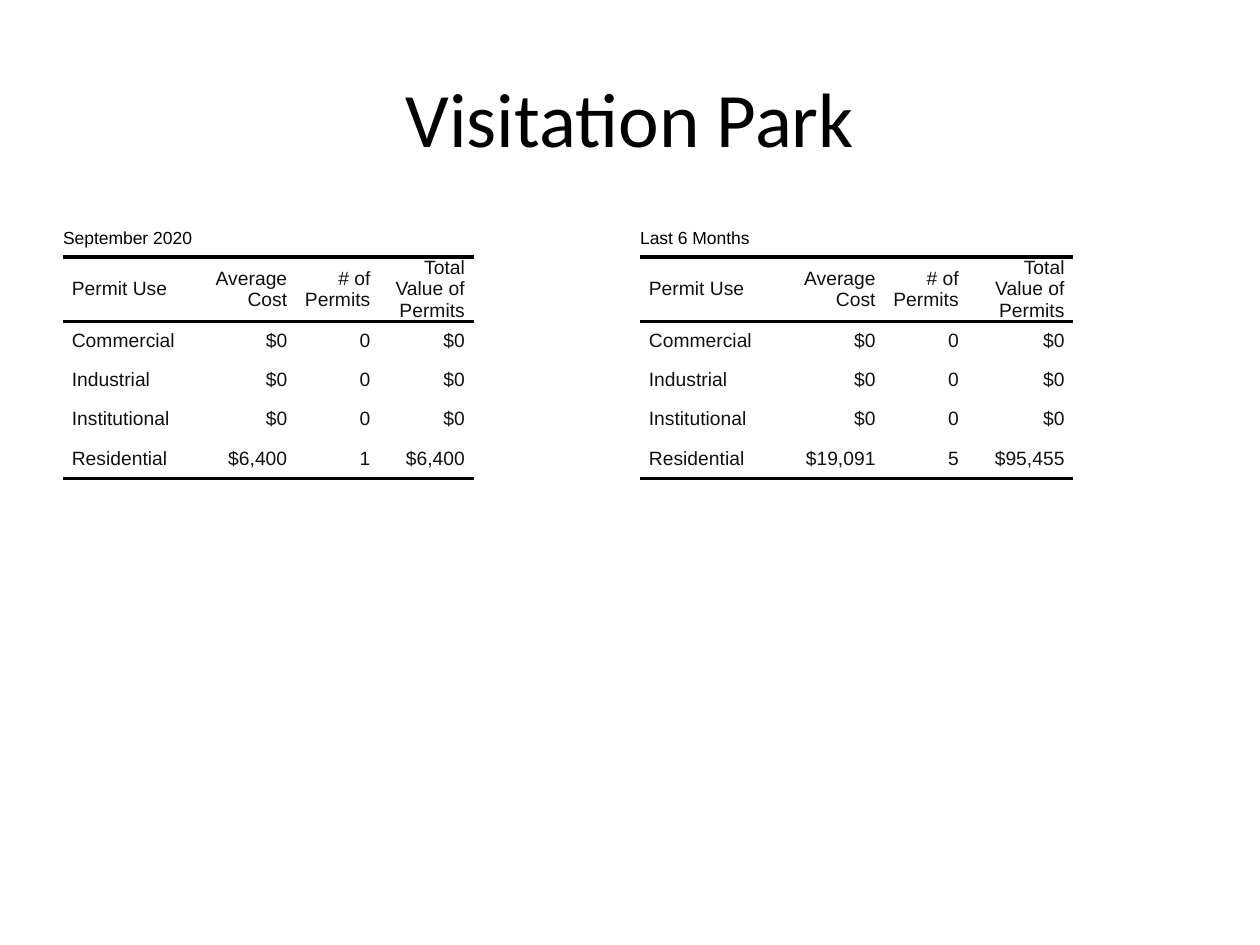
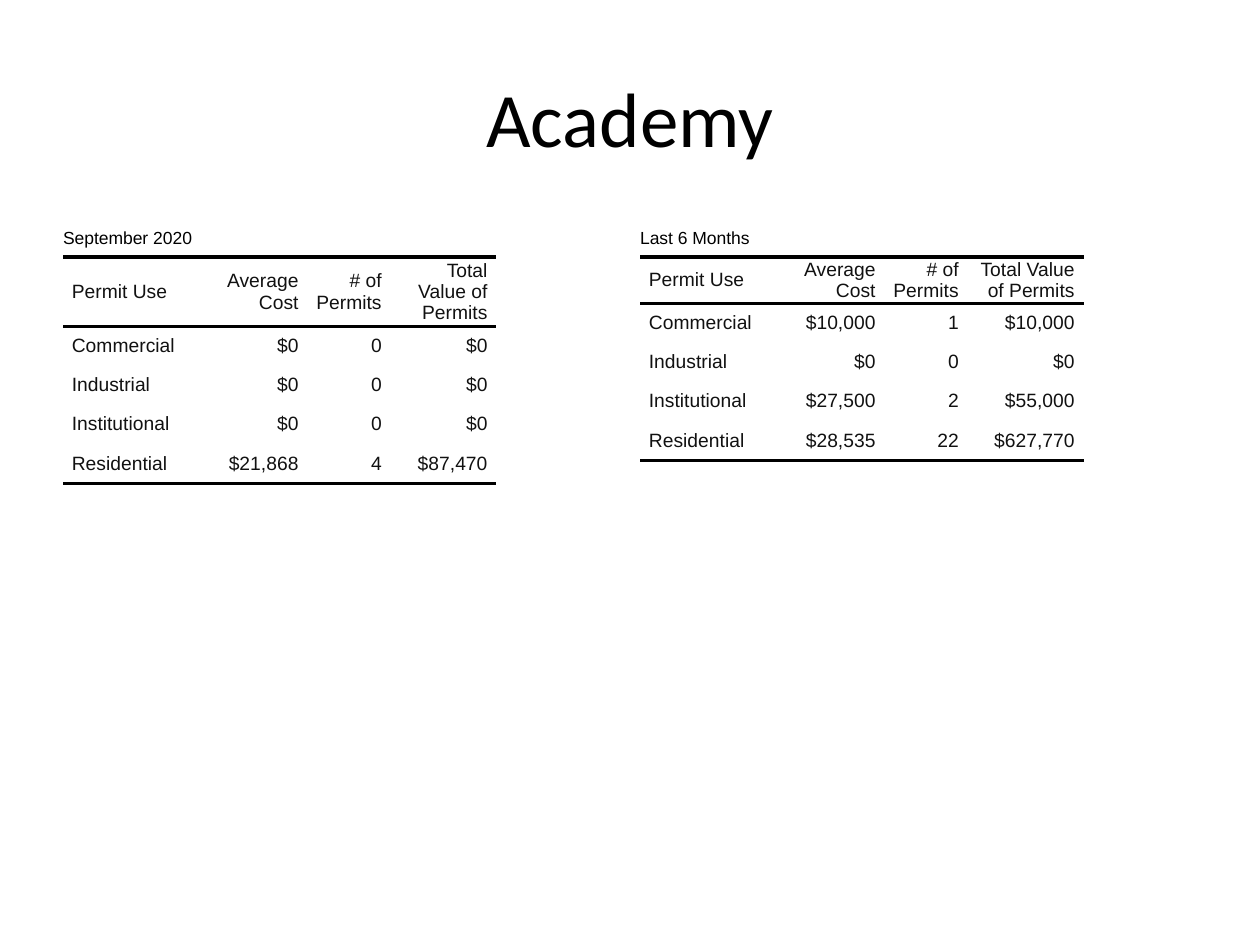
"""Builds two neighbourhood permit slides, each with a monthly and a six-month table."""
import dataclasses

import lxml.etree
import pptx
import pptx.dml.color
import pptx.enum.text
import pptx.oxml.ns
import pptx.util

Inches = pptx.util.Inches
Pt = pptx.util.Pt
ALIGN = pptx.enum.text.PP_ALIGN
MIDDLE = pptx.enum.text.MSO_ANCHOR.MIDDLE


@dataclasses.dataclass(frozen=True)
class Theme:
    title_font: str = "Calibri"
    table_font: str = "Arial"
    title_size: int = 44
    period_size: int = 10
    cell_size: int = 11
    black: str = "000000"
    cell_color: str = "111111"
    rule_width: int = 2
    plain_table_style: str = "{2D5ABB26-0587-4C30-8999-92F81FD0307C}"


THEME = Theme()
HEADINGS = ("Permit Use", "Average Cost", "# of Permits", "Total Value of Permits")
USES = ("Commercial", "Industrial", "Institutional", "Residential")
NO_PERMITS = ("$0", "0", "$0")
PERIODS = (("September 2020", 0.5), ("Last 6 Months", 5.08))
ROW_HEIGHTS = (0.29, 0.29, 0.31, 0.31, 0.31, 0.32)
LAST_ROW = len(ROW_HEIGHTS) - 1

NEIGHBORHOODS = (
    ("Visitation Park", (
        ((1.1, 0.75, 0.66, 0.75), (NO_PERMITS,) * 3 + (("$6,400", "1", "$6,400"),)),
        ((1.1, 0.84, 0.66, 0.84), (NO_PERMITS,) * 3 + (("$19,091", "5", "$95,455"),)),
    )),
    ("Academy", (
        ((1.1, 0.84, 0.66, 0.84), (NO_PERMITS,) * 3 + (("$21,868", "4", "$87,470"),)),
        ((1.1, 0.84, 0.66, 0.92), (
            ("$10,000", "1", "$10,000"),
            NO_PERMITS,
            ("$27,500", "2", "$55,000"),
            ("$28,535", "22", "$627,770"),
        )),
    )),
)


def style_text(paragraph, font_name, size, color, alignment):
    """Align a paragraph and format its runs."""
    paragraph.alignment = alignment
    for run in paragraph.runs:
        run.font.name = font_name
        run.font.size = Pt(size)
        run.font.bold = False
        run.font.color.rgb = pptx.dml.color.RGBColor.from_string(color)


def add_title(slide, neighborhood):
    """Add the centred slide title."""
    title = slide.shapes.add_textbox(Inches(0.5), Inches(0.3), Inches(9), Inches(1.25))
    frame = title.text_frame
    frame.word_wrap = True
    frame.vertical_anchor = MIDDLE
    frame.text = neighborhood
    style_text(frame.paragraphs[0], THEME.title_font, THEME.title_size, THEME.black, ALIGN.CENTER)


def add_rule(cell, edge):
    """Draw a black rule on one edge of a cell."""
    rule = lxml.etree.SubElement(
        cell._tc.get_or_add_tcPr(), pptx.oxml.ns.qn(f"a:{edge}"), w=str(Pt(THEME.rule_width)))
    fill = lxml.etree.SubElement(rule, pptx.oxml.ns.qn("a:solidFill"))
    lxml.etree.SubElement(fill, pptx.oxml.ns.qn("a:srgbClr"), val=THEME.black)


def fill_cell(cell, text, size, color, alignment, indent=0.0, edges=()):
    """Write one table cell with its indents and rules."""
    cell.margin_left = cell.margin_right = cell.margin_top = cell.margin_bottom = 0
    cell.vertical_anchor = MIDDLE
    for edge in edges:
        add_rule(cell, edge)
    cell.fill.background()
    cell.text_frame.text = text
    paragraph = cell.text_frame.paragraphs[0]
    properties = paragraph._p.get_or_add_pPr()
    for side in ("marL", "marR"):
        properties.set(side, str(Inches(indent)))
    style_text(paragraph, THEME.table_font, size, color, alignment)


def add_permit_table(slide, period, left, column_widths, figures):
    """Add the permit table of one period."""
    holder = slide.shapes.add_table(
        len(ROW_HEIGHTS), len(HEADINGS), Inches(left), Inches(1.75), Inches(4.42), Inches(4.95))
    permits = holder.table
    permits.first_row = permits.horz_banding = False
    permits._tbl.tblPr.find(pptx.oxml.ns.qn("a:tableStyleId")).text = THEME.plain_table_style
    for column, width in zip(permits.columns, column_widths):
        column.width = Inches(width)
    for row, height in zip(permits.rows, ROW_HEIGHTS):
        row.height = Inches(height)
    holder.width, holder.height = Inches(4.42), Inches(4.95)

    permits.cell(0, 0).merge(permits.cell(0, len(HEADINGS) - 1))
    fill_cell(permits.cell(0, 0), period, THEME.period_size, THEME.black, ALIGN.LEFT)

    rules = {1: ("lnT", "lnB"), LAST_ROW: ("lnB",)}
    lines = [HEADINGS] + [(use, *values) for use, values in zip(USES, figures)]
    for row_number, line in enumerate(lines, start=1):
        for column_number, text in enumerate(line):
            alignment = ALIGN.RIGHT if column_number else ALIGN.LEFT
            fill_cell(permits.cell(row_number, column_number), text, THEME.cell_size,
                      THEME.cell_color, alignment, 0.07, rules.get(row_number, ()))


def main():
    """Build and save the presentation."""
    deck = pptx.Presentation()
    deck.slide_width, deck.slide_height = Inches(10), Inches(7.5)
    for neighborhood, tables in NEIGHBORHOODS:
        slide = deck.slides.add_slide(deck.slide_layouts[6])
        for (period, left), (column_widths, figures) in zip(PERIODS, tables):
            add_permit_table(slide, period, left, column_widths, figures)
        add_title(slide, neighborhood)
    deck.save("out.pptx")


if __name__ == "__main__":
    main()
